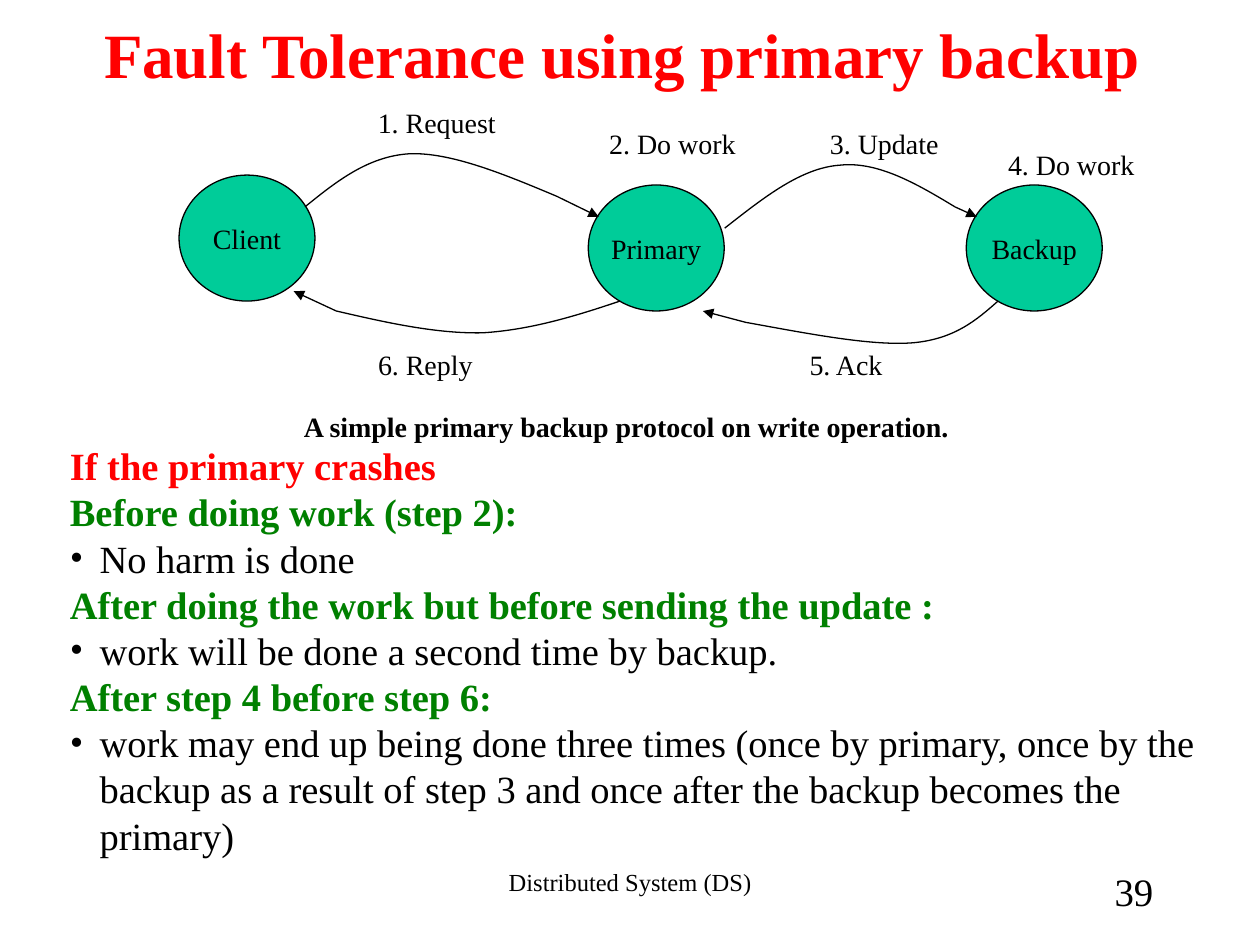
import pptx
import pptx.util
import pptx.dml.color
import pptx.enum.shapes
import pptx.enum.text
import pptx.oxml.ns
import lxml.etree

Cm, Pt = pptx.util.Cm, pptx.util.Pt
ALIGN = pptx.enum.text.PP_ALIGN
ANCHOR = pptx.enum.text.MSO_ANCHOR
FONT = "Times New Roman"
COLORS = {"red": "FF0000", "green": "008000", "black": "000000", "node": "00CC99"}

NODES = [("Client", 3.61, 3.53), ("Backup", 19.48, 3.73), ("Primary", 11.86, 3.73)]
NODE_SIZE = (2.74, 2.54)

ARROWS = [
    ([(6.15, 4.17), (6.78, 3.66), (7.42, 3.15), (8.26, 3.1),
      (9.09, 3.07), (10.16, 3.51), (11.23, 3.96)], (12.07, 4.37)),
    ([(12.5, 6.07), (11.58, 6.38), (10.69, 6.65), (9.73, 6.71),
      (8.79, 6.73), (7.77, 6.5), (6.78, 6.27)], (5.92, 5.87)),
    ([(14.61, 4.6), (15.39, 3.99), (16.15, 3.38), (16.94, 3.33),
      (17.7, 3.25), (18.49, 3.71), (19.25, 4.17)], (19.69, 4.37)),
    ([(20.12, 6.07), (19.69, 6.45), (19.25, 6.83), (18.42, 6.91),
      (17.58, 6.98), (16.31, 6.73), (15.04, 6.5)], (14.17, 6.27)),
]

LABELS = [
    ("1. Request", 7.34, 2.01, 2.93),
    ("2. Do work", 12.02, 2.43, 3.07),
    ("3. Update", 16.46, 2.43, 2.73),
    ("4. Do work", 20.06, 2.84, 3.07),
    ("5. Ack", 16.04, 6.88, 2.03),
    ("6. Reply", 7.36, 6.88, 2.43),
]
LABEL_HEIGHT = 0.94

BODY = [
    ("If the primary crashes", "red", False),
    ("Before doing work (step 2):", "green", False),
    ("No harm is done", "black", True),
    ("After doing the work but before sending the update :", "green", False),
    ("work will be done a second time by backup.", "black", True),
    ("After step 4 before step 6:", "green", False),
    ("work may end up being done three times (once by primary, once by the backup "
     "as a result of step 3 and once after the backup becomes the primary)", "black", True),
]


def rgb(name):
    return pptx.dml.color.RGBColor.from_string(COLORS[name])


def add_element(parent, tag, **attributes):
    return lxml.etree.SubElement(parent, pptx.oxml.ns.qn(tag), attributes)


def add_span(para, text, size, color="black", bold=False):
    span = para.add_run()
    span.text = text
    span.font.name = FONT
    span.font.size = Pt(size)
    span.font.bold = bold
    span.font.color.rgb = rgb(color)


def add_box(page, left, top, width, height, wrap=True):
    box = page.shapes.add_textbox(Cm(left), Cm(top), Cm(width), Cm(height))
    box.text_frame.word_wrap = wrap
    return box.text_frame


def add_line_of_text(page, text, place, size, color="black", bold=False,
                     align=ALIGN.CENTER, anchor=ANCHOR.TOP, wrap=True):
    frame = add_box(page, *place, wrap=wrap)
    frame.vertical_anchor = anchor
    para = frame.paragraphs[0]
    para.alignment = align
    add_span(para, text, size, color, bold)


def style_line(shape):
    shape.line.color.rgb = rgb("black")
    shape.line.width = Pt(0.75)


def add_node(page, name, left, top):
    node = page.shapes.add_shape(
        pptx.enum.shapes.MSO_SHAPE.FLOWCHART_CONNECTOR,
        Cm(left), Cm(top), *map(Cm, NODE_SIZE))
    node.shadow.inherit = False
    node.fill.solid()
    node.fill.fore_color.rgb = rgb("node")
    style_line(node)
    node.text_frame.word_wrap = False
    node.text_frame.vertical_anchor = ANCHOR.MIDDLE
    para = node.text_frame.paragraphs[0]
    para.alignment = ALIGN.CENTER
    add_span(para, name, 16)


def bend_segments(curve):
    segments = list(curve._element.iter(pptx.oxml.ns.qn("a:lnTo")))
    outline = segments[0].getparent()
    for first in range(0, len(segments), 3):
        bend = add_element(outline, "a:cubicBezTo")
        for segment in segments[first:first + 3]:
            bend.append(segment[0])
            outline.remove(segment)


def add_arrow(page, controls, tip):
    start, *others = [tuple(map(Cm, point)) for point in controls]
    builder = page.shapes.build_freeform(*start)
    builder.add_line_segments(others, close=False)
    curve = builder.convert_to_shape()
    bend_segments(curve)
    curve.shadow.inherit = False
    curve.fill.background()
    style_line(curve)

    head = page.shapes.add_connector(
        pptx.enum.shapes.MSO_CONNECTOR.STRAIGHT, *others[-1], *map(Cm, tip))
    style_line(head)
    add_element(head.line._get_or_add_ln(), "a:tailEnd", type="triangle")
    add_element(head._element.spPr, "a:effectLst")


def add_body(page):
    frame = add_box(page, 1.16, 8.79, 23.72, 8.64)
    for index, (text, color, bulleted) in enumerate(BODY):
        para = frame.paragraphs[0] if index == 0 else frame.add_paragraph()
        para.line_spacing = Pt(26.4)
        if bulleted:
            properties = para._p.get_or_add_pPr()
            properties.set("marL", str(Cm(0.6)))
            properties.set("indent", str(-Cm(0.6)))
            bullet_color = add_element(properties, "a:buClr")
            add_element(bullet_color, "a:srgbClr", val=COLORS["black"])
            add_element(properties, "a:buFont", typeface=FONT)
            add_element(properties, "a:buChar", char="•")
        add_span(para, text, 22, color, not bulleted)


def main():
    deck = pptx.Presentation()
    deck.slide_width, deck.slide_height = Cm(25.4), Cm(19.05)
    page = deck.slides.add_slide(deck.slide_layouts[6])

    add_line_of_text(page, "Fault Tolerance using primary backup ", (0, 0, 25.4, 2.16),
                     36, "red", True, anchor=ANCHOR.MIDDLE)
    for node in NODES:
        add_node(page, *node)
    for controls, tip in ARROWS:
        add_arrow(page, controls, tip)
    for text, left, top, width in LABELS:
        add_line_of_text(page, text, (left, top, width, LABEL_HEIGHT), 16, wrap=False)
    add_line_of_text(page, "Distributed System (DS)", (8.68, 17.35, 8.05, 1.27), 14)
    add_line_of_text(page, "39", (18.21, 17.36, 5.29, 1.27), 22.2, align=ALIGN.RIGHT)
    add_line_of_text(page, "A simple primary backup protocol on write operation.",
                     (5.57, 8.13, 14.12, LABEL_HEIGHT), 16, bold=True)
    add_body(page)
    deck.save("out.pptx")


if __name__ == "__main__":
    main()
